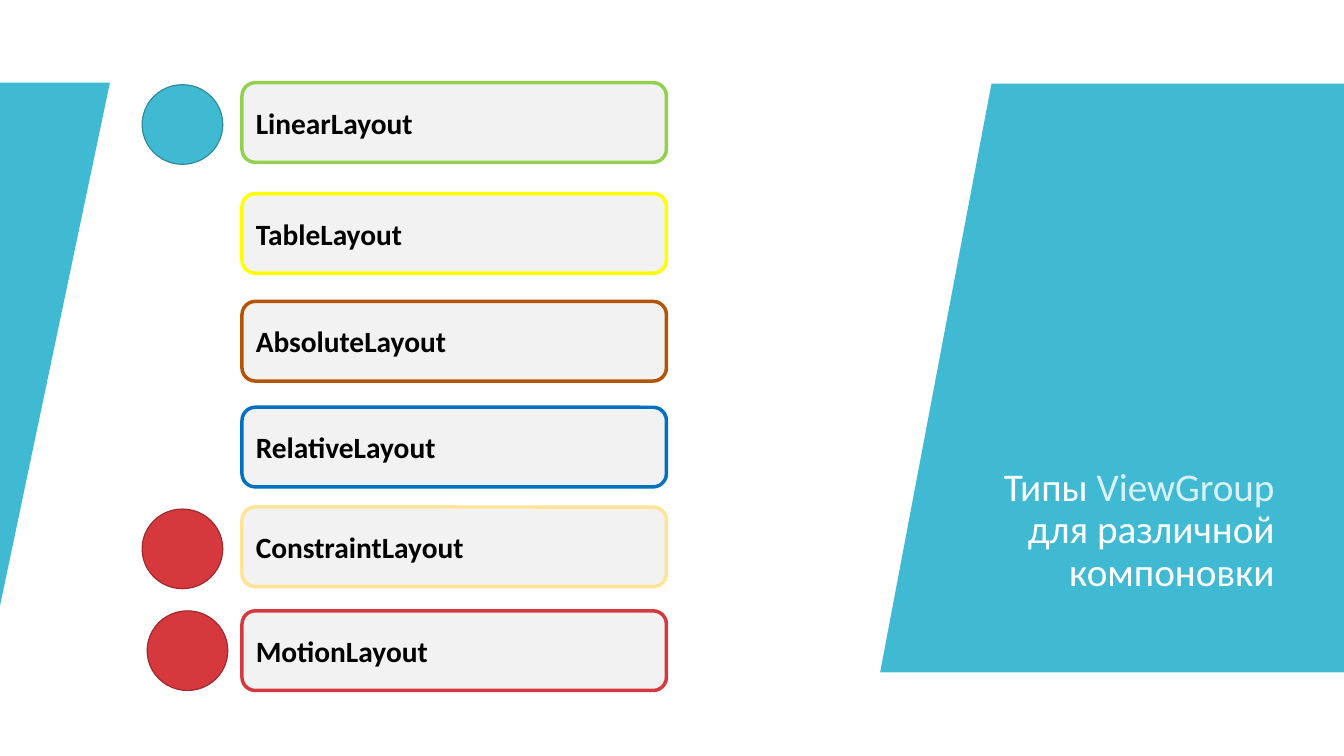
import pptx
import pptx.util
import pptx.dml.color
import pptx.enum.shapes
import pptx.enum.text

Inches = pptx.util.Inches
Pt = pptx.util.Pt
RGBColor = pptx.dml.color.RGBColor
SHAPE = pptx.enum.shapes.MSO_SHAPE
ALIGN = pptx.enum.text.PP_ALIGN
ANCHOR = pptx.enum.text.MSO_ANCHOR

WHITE = RGBColor(0xFF, 0xFF, 0xFF)
BLACK = RGBColor(0x00, 0x00, 0x00)
TEAL = RGBColor(0x40, 0xBA, 0xD2)
DARK_TEAL = RGBColor(0x2F, 0x8A, 0x9B)
PALE_TEAL = RGBColor(0xD9, 0xF1, 0xF6)
RED = RGBColor(0xD5, 0x39, 0x3D)
DARK_RED = RGBColor(0x9E, 0x2A, 0x2D)
LIGHT_GRAY = RGBColor(0xF2, 0xF2, 0xF2)
GREEN = RGBColor(0x92, 0xD0, 0x50)
YELLOW = RGBColor(0xFF, 0xFF, 0x00)
BROWN = RGBColor(0xB3, 0x54, 0x06)
BLUE = RGBColor(0x00, 0x70, 0xC0)
CREAM = RGBColor(0xFF, 0xE4, 0x97)

ROW_HEIGHT = 0.79
# Name, border colour, top
LAYOUTS = [
    ("LinearLayout", GREEN, 0.82),
    ("TableLayout", YELLOW, 1.92),
    ("AbsoluteLayout", BROWN, 2.99),
    ("RelativeLayout", BLUE, 4.04),
    ("ConstraintLayout", CREAM, 5.03),
    ("MotionLayout", RED, 6.06),
]
# Left, top, fill, outline
MARKERS = [
    (1.41, 0.84, TEAL, DARK_TEAL),
    (1.41, 5.05, RED, DARK_RED),
    (1.46, 6.06, RED, DARK_RED),
]


def apply_format(target, values):
    for name, value in values.items():
        setattr(target, name, value)


def paint(shape, fill, line=None, line_width=0):
    shape.shadow.inherit = False
    shape.fill.solid()
    shape.fill.fore_color.rgb = fill
    if line is None:
        shape.line.fill.background()
    else:
        shape.line.color.rgb = line
        shape.line.width = Pt(line_width)


def add_run(paragraph, text, size, color, bold=False):
    run = paragraph.add_run()
    run.text = text
    apply_format(run.font, {"name": "Calibri", "size": Pt(size), "bold": bold})
    run.font.color.rgb = color


def add_panel(slide, left, top, width, height, corners):
    """Draw a teal polygon whose corners are fractions of its box."""
    points = [(Inches(left + x * width), Inches(top + y * height)) for x, y in corners]
    builder = slide.shapes.build_freeform(*points[0])
    builder.add_line_segments(points[1:], close=True)
    paint(builder.convert_to_shape(), TEAL)


def add_title(slide, left, top, width, height):
    box = slide.shapes.add_textbox(*map(Inches, (left, top, width, height)))
    box.text_frame.word_wrap = True
    paragraph = box.text_frame.paragraphs[0]
    apply_format(paragraph, {"alignment": ALIGN.RIGHT, "line_spacing": 0.9})
    add_run(paragraph, "Типы ", 28, WHITE)
    add_run(paragraph, "ViewGroup", 28, PALE_TEAL)
    paragraph.add_line_break()
    add_run(paragraph, "для различной компоновки", 28, WHITE)


def add_marker(slide, left, top, width, height, fill, line):
    circle = slide.shapes.add_shape(SHAPE.OVAL, *map(Inches, (left, top, width, height)))
    paint(circle, fill, line, 0.85)


def add_layout_card(slide, left, top, width, height, name, border):
    card = slide.shapes.add_shape(
        SHAPE.ROUNDED_RECTANGLE, *map(Inches, (left, top, width, height)))
    paint(card, LIGHT_GRAY, border, 2.5)
    apply_format(card.text_frame, {"word_wrap": True, "vertical_anchor": ANCHOR.MIDDLE})
    paragraph = card.text_frame.paragraphs[0]
    paragraph.alignment = ALIGN.LEFT
    add_run(paragraph, name, 21, BLACK, bold=True)


def build_slide(presentation):
    slide = presentation.slides.add_slide(presentation.slide_layouts[6])
    slide.background.fill.solid()
    slide.background.fill.fore_color.rgb = WHITE

    # Slanted side panels
    add_panel(slide, 0, 0.82, 1.09, 5.19, [(0, 0), (1, 0), (0, 1)])
    add_panel(slide, 8.73, 0.83, 4.6, 5.84, [(0.24, 0), (1, 0), (1, 1), (0, 1)])
    add_title(slide, 9.44, 4.59, 3.3, 1.87)

    # Layout list with its markers
    for left, top, fill, line in MARKERS:
        add_marker(slide, left, top, 0.8, ROW_HEIGHT, fill, line)
    for name, border, top in LAYOUTS:
        add_layout_card(slide, 2.4, top, 4.21, ROW_HEIGHT, name, border)


def main():
    presentation = pptx.Presentation()
    presentation.slide_width = Inches(13.33)
    presentation.slide_height = Inches(7.5)
    build_slide(presentation)
    presentation.save("out.pptx")


if __name__ == "__main__":
    main()
